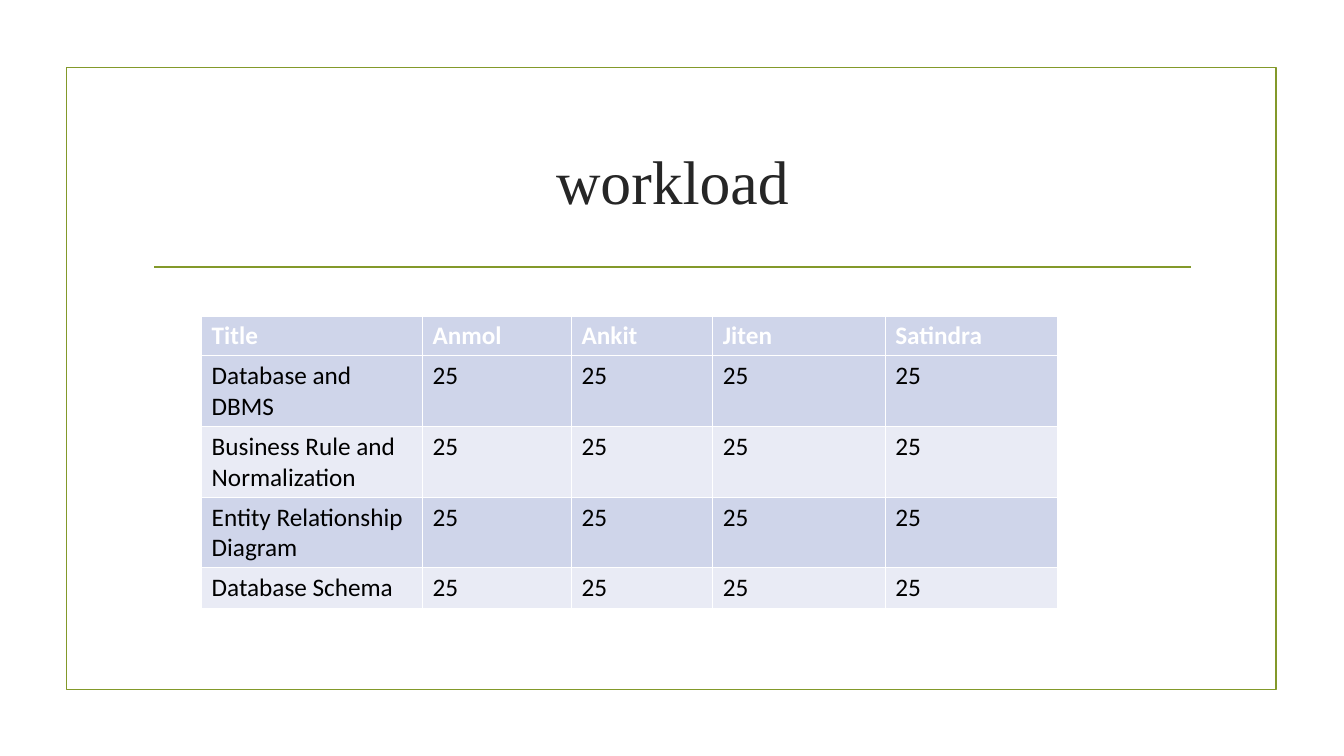
from pptx import Presentation
from pptx.dml.color import RGBColor
from pptx.enum.shapes import MSO_CONNECTOR, MSO_SHAPE
from pptx.enum.text import MSO_ANCHOR, PP_ALIGN
from pptx.oxml import parse_xml
from pptx.oxml.ns import nsdecls
from pptx.util import Inches, Pt

OLIVE = "83992A"
WHITE = "FFFFFF"
BANDS = ["E9EBF5", "CFD5EA"]


def rgb(value):
    return RGBColor.from_string(value)


def add_borders(cell, top_width):
    """Draw white borders round a cell; they must precede its fill in the XML."""
    widths = {"lnL": 0.75, "lnR": 0.75, "lnT": top_width, "lnB": 0.75}
    for side, width in widths.items():
        cell._tc.get_or_add_tcPr().append(parse_xml(
            f'<a:{side} {nsdecls("a")} w="{Pt(width)}"><a:solidFill>'
            f'<a:srgbClr val="{WHITE}"/></a:solidFill></a:{side}>'))


deck = Presentation()
deck.slide_width, deck.slide_height = Inches(13.33), Inches(7.5)
page = deck.slides.add_slide(deck.slide_layouts[6])

# Frame and rule
frame = page.shapes.add_shape(
    MSO_SHAPE.RECTANGLE, Inches(0.66), Inches(0.67), Inches(12), Inches(6.17))
frame.shadow.inherit = False
frame.fill.background()
rule = page.shapes.add_connector(
    MSO_CONNECTOR.STRAIGHT, Inches(1.53), Inches(2.65), Inches(11.81), Inches(2.65))
rule._element.spPr.append(parse_xml(f'<a:effectLst {nsdecls("a")}/>'))
for outline in (frame.line, rule.line):
    outline.color.rgb = rgb(OLIVE)
    outline.width = Pt(1.25)

# Title
title = page.shapes.add_textbox(Inches(1.42), Inches(1.07), Inches(10.5), Inches(1.43))
title.text_frame.word_wrap = True
title.text_frame.vertical_anchor = MSO_ANCHOR.MIDDLE
title.text_frame.text = "workload"
para = title.text_frame.paragraphs[0]
para.alignment = PP_ALIGN.CENTER
para.font.name = "Times New Roman"
para.font.size = Pt(44)
para.font.color.rgb = rgb("262626")

# Workload table: every member takes an equal share of each topic
members = ["Anmol", "Ankit", "Jiten", "Satindra"]
topics = ["Database and DBMS", "Business Rule and Normalization",
          "Entity Relationship Diagram", "Database Schema"]
rows = [["Title"] + members] + [[topic] + ["25"] * len(members) for topic in topics]
column_widths = [2.19, 1.48, 1.4, 1.71, 1.71]
row_height = 0.3

table = page.shapes.add_table(
    len(rows), len(column_widths), Inches(2), Inches(3.13),
    Inches(sum(column_widths)), Inches(row_height * len(rows))).table
for column, width in zip(table.columns, column_widths):
    column.width = Inches(width)
for row_index, row in enumerate(rows):
    is_header = row_index == 0
    table.rows[row_index].height = Inches(row_height)
    for column_index, text in enumerate(row):
        cell = table.cell(row_index, column_index)
        add_borders(cell, 2.25 if is_header else 0.75)
        cell.fill.solid()
        cell.fill.fore_color.rgb = rgb(BANDS[1 if is_header else row_index % 2])
        cell.text_frame.text = text
        span = cell.text_frame.paragraphs[0].runs[0]
        span.font.name = "Calibri"
        span.font.size = Pt(18)
        span.font.bold = is_header
        span.font.color.rgb = rgb(WHITE if is_header else "000000")

deck.save("out.pptx")
